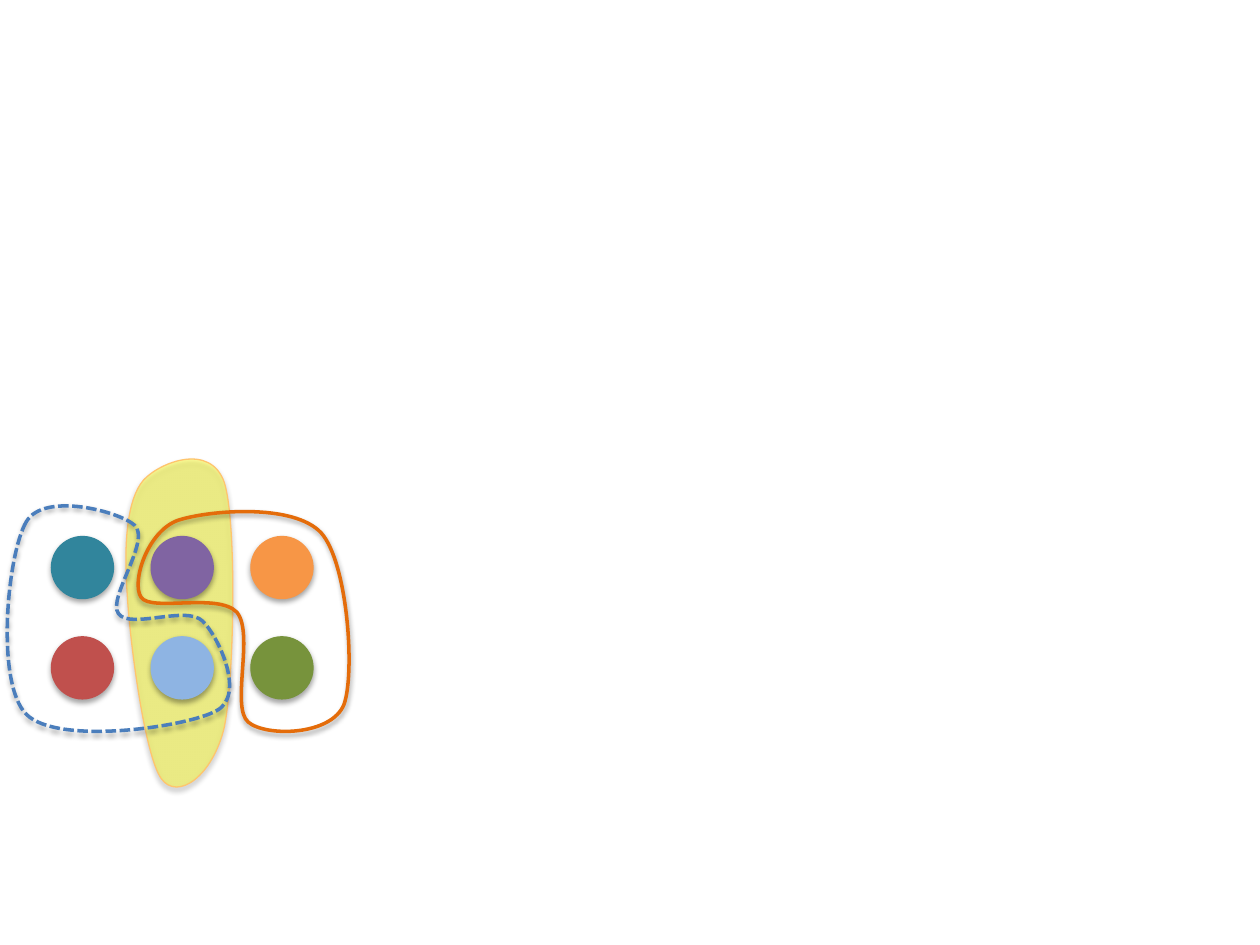
from itertools import product

from lxml.etree import SubElement
from pptx import Presentation
from pptx.dml.color import RGBColor
from pptx.enum.dml import MSO_LINE
from pptx.enum.shapes import MSO_SHAPE
from pptx.oxml.ns import qn
from pptx.util import Pt

DOT_SIZE = 35.5
DOT_LEFT, DOT_TOP = 29.4, 306.6
DOT_STEP_X, DOT_STEP_Y = 57, 57.3
DOT_COLORS = ["31859C", "8064A2", "F79646", "C0504D", "8EB4E3", "77933C"]

# Each outline is a start point followed by triples: two handles and an end.
YELLOW_BOX = (72, 262.1, 61.2, 187.2)
YELLOW_CURVE = [
    (82.1, 274.3),
    (72.7, 285.1), (70.6, 310.3), (72.7, 339.1),
    (74.2, 367.2), (82.8, 432), (92.2, 445),
    (101.5, 457.9), (121.7, 443.5), (128.2, 415.4),
    (133.9, 387.4), (135.4, 298.8), (128.2, 275.8),
    (120.2, 252.7), (91.4, 264.2), (82.1, 274.3),
]
BLUE_BOX = (4.3, 288.7, 127.4, 128.9)
BLUE_CURVE = [
    (15.1, 298.1),
    (4.3, 316.1), (-2.9, 390.2), (15.1, 408.2),
    (33.1, 426.2), (107.3, 415.4), (123.8, 406.1),
    (140.4, 397.4), (125.3, 364.3), (115.9, 355),
    (106.6, 345.6), (74.2, 360), (67.7, 350.6),
    (61.2, 342), (86.4, 308.9), (77, 300.2),
    (68.4, 292.3), (25.2, 280.8), (15.1, 298.1),
]
ORANGE_BOX = (79.2, 292.3, 121, 126)
ORANGE_CURVE = [
    (101.5, 297.4),
    (84.2, 303.8), (74.9, 332.6), (80.6, 341.3),
    (86.4, 349.9), (124.6, 338.4), (135.4, 349.9),
    (145.4, 362.2), (131.8, 403.9), (141.8, 412.6),
    (151.9, 421.2), (189.4, 420.5), (196.6, 402.5),
    (203, 384.5), (198.7, 321.8), (183.6, 304.6),
    (167.8, 287.3), (118.8, 291.6), (101.5, 297.4),
]


def color(text):
    """Turn a hex string into a colour."""
    return RGBColor.from_string(text)


def add_alpha(color_element, percent):
    """Give a colour element an opacity."""
    SubElement(color_element, qn("a:alpha"), val=str(percent * 1000))


def add_shadow(shape):
    """Add the soft shadow that falls straight down."""
    shape.shadow.inherit = False
    effects = shape.element.spPr.find(qn("a:effectLst"))
    shadow = SubElement(
        effects, qn("a:outerShdw"), blurRad=str(Pt(3.1)), dist=str(Pt(1.8)),
        dir=str(90 * 60000), rotWithShape="0")
    add_alpha(SubElement(shadow, qn("a:srgbClr"), val="000000"), 35)


def paint(shape, fill, line, width, opacity=100):
    """Set fill, line and shadow; a fill of None leaves the shape open."""
    if fill:
        shape.fill.solid()
        shape.fill.fore_color.rgb = color(fill)
        if opacity < 100:
            fill_color = shape.element.spPr.find(qn("a:solidFill"))[0]
            add_alpha(fill_color, opacity)
    else:
        shape.fill.background()
    shape.line.color.rgb = color(line)
    shape.line.width = Pt(width)
    add_shadow(shape)


def add_curve(shapes, box, points):
    """Add a closed outline of Bezier curves inside a box."""
    left, top, width, height = box
    builder = shapes.build_freeform(Pt(left), Pt(top))
    builder.add_line_segments(
        [(Pt(left + width), Pt(top)), (Pt(left + width), Pt(top + height)),
         (Pt(left), Pt(top + height))])
    shape = builder.convert_to_shape()
    outline = shape.element.spPr.find(".//" + qn("a:path"))
    for step in list(outline):
        outline.remove(step)

    def add_step(tag, step_points):
        step = SubElement(outline, qn(tag))
        for x, y in step_points:
            SubElement(step, qn("a:pt"), x=str(Pt(x - left)), y=str(Pt(y - top)))

    add_step("a:moveTo", points[:1])
    for index in range(1, len(points), 3):
        add_step("a:cubicBezTo", points[index:index + 3])
    add_step("a:close", [])
    return shape


def add_dots(shapes):
    """Add the grid of two rows and three columns of dots."""
    for (row, column), fill in zip(product(range(2), range(3)), DOT_COLORS):
        dot = shapes.add_shape(
            MSO_SHAPE.OVAL, Pt(DOT_LEFT + column * DOT_STEP_X),
            Pt(DOT_TOP + row * DOT_STEP_Y), Pt(DOT_SIZE), Pt(DOT_SIZE))
        paint(dot, fill, fill, 0.75)


def main():
    """Build the slide with three overlapping sets of dots."""
    deck = Presentation()
    deck.slide_width, deck.slide_height = Pt(720), Pt(540)
    page = deck.slides.add_slide(deck.slide_layouts[6])
    shapes = page.shapes.add_group_shape().shapes

    yellow_set = add_curve(shapes, YELLOW_BOX, YELLOW_CURVE)
    paint(yellow_set, "FFFF00", "FFC56D", 0.75, opacity=40)
    add_dots(shapes)
    blue_set = add_curve(shapes, BLUE_BOX, BLUE_CURVE)
    paint(blue_set, None, "4B7EBC", 2)
    blue_set.line.dash_style = MSO_LINE.SQUARE_DOT
    orange_set = add_curve(shapes, ORANGE_BOX, ORANGE_CURVE)
    paint(orange_set, None, "E46C0A", 2)

    deck.save("out.pptx")


main()
